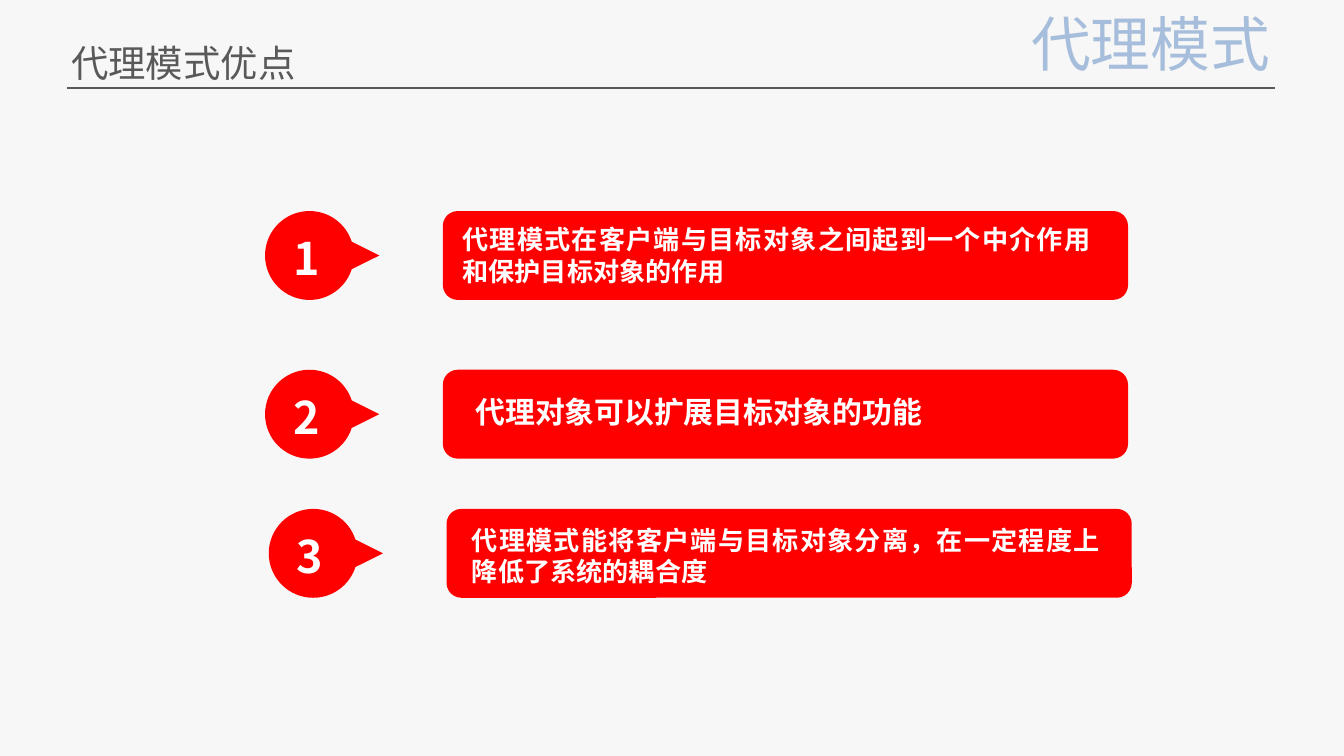
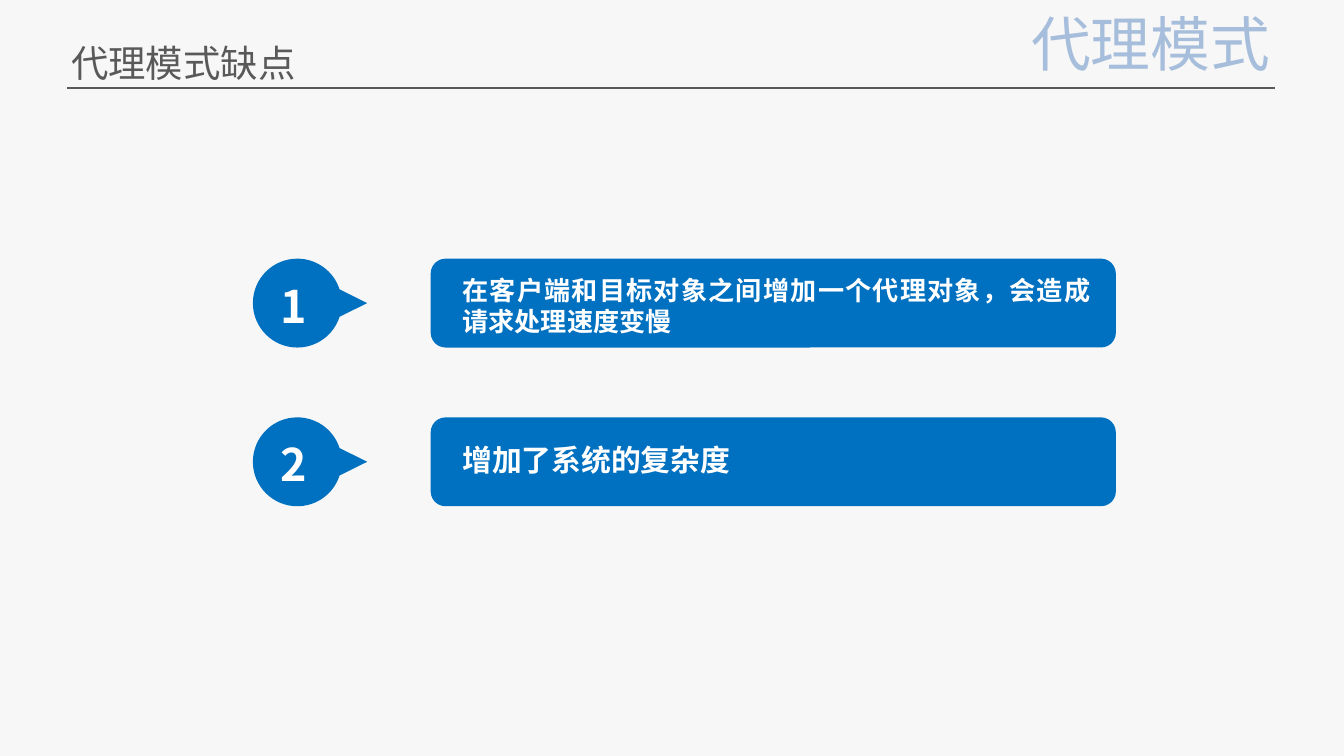
from itertools import pairwise
from math import cos, radians, sin, tan
from typing import NamedTuple

from lxml.etree import Element, SubElement
from pptx import Presentation
from pptx.dml.color import RGBColor
from pptx.enum.shapes import MSO_CONNECTOR, MSO_SHAPE
from pptx.enum.text import MSO_ANCHOR, MSO_AUTO_SIZE, PP_ALIGN
from pptx.oxml.ns import qn
from pptx.presentation import Presentation as Deck
from pptx.shapes.base import BaseShape
from pptx.slide import Slide, SlideLayout
from pptx.text.text import TextFrame
from pptx.util import Cm, Length, Pt

BACKGROUND = RGBColor(0xF7, 0xF7, 0xF7)
GREY = RGBColor(0x59, 0x59, 0x59)
HEADER_BLUE = RGBColor(0x4F, 0x81, 0xBD)
WHITE = RGBColor(0xFF, 0xFF, 0xFF)
RED = RGBColor(0xFF, 0x00, 0x00)
BLUE = RGBColor(0x00, 0x70, 0xC0)

HEADER_FONT = "Arial"
BODY_FONT = "Noto Sans CJK SC"

RADIUS = Cm(0.84)
TIP_REACH = Cm(1.32)
ARC_ANGLES = (18, 90, 180, 270, 342)
PANEL_OFFSET = Cm(3.36)
PANEL_WIDTH = Cm(12.95)
TEXT_WIDTH = Cm(11.87)


class Point(NamedTuple):
    left: Length
    top: Length
    text_left: Length
    text_top: Length
    text: str
    size: int = 14


class Topic(NamedTuple):
    title: str
    colour: RGBColor
    points: tuple[Point, ...]


TOPICS = (
    Topic("代理模式优点", RED, (
        Point(Cm(5.01), Cm(3.99), Cm(8.74), Cm(4.23),
              "代理模式在客户端与目标对象之间起到一个中介作用和保护目标对象的作用"),
        Point(Cm(5.01), Cm(6.99), Cm(8.99), Cm(7.45), "代理对象可以扩展目标对象的功能", 16),
        Point(Cm(5.08), Cm(9.62), Cm(8.92), Cm(9.91),
              "代理模式能将客户端与目标对象分离，在一定程度上降低了系统的耦合度"),
    )),
    Topic("代理模式缺点", BLUE, (
        Point(Cm(4.78), Cm(4.89), Cm(8.74), Cm(5.18),
              "在客户端和目标对象之间增加一个代理对象，会造成请求处理速度变慢"),
        Point(Cm(4.78), Cm(7.89), Cm(8.74), Cm(8.35), "增加了系统的复杂度", 16),
    )),
)


def write(frame: TextFrame, text: str, *, size: int, colour: RGBColor,
          font: str = BODY_FONT, bold: bool = False, align: PP_ALIGN = PP_ALIGN.LEFT,
          inset: bool = True, wrap: bool = True, opacity: int = 100) -> None:
    """Fill a text frame with one formatted paragraph."""
    frame.word_wrap = wrap
    frame.auto_size = MSO_AUTO_SIZE.SHAPE_TO_FIT_TEXT
    frame.vertical_anchor = MSO_ANCHOR.TOP
    if not inset:
        frame.margin_left = frame.margin_right = 0
        frame.margin_top = frame.margin_bottom = 0
    para = frame.paragraphs[0]
    para.alignment = align
    span = para.add_run()
    span.text = text
    span.font.name = font
    span.font.size = Pt(size)
    span.font.bold = bold
    span.font.color.rgb = colour
    properties = span.font.fill._xPr
    SubElement(properties, qn("a:ea")).set("typeface", font)
    if opacity < 100:
        paint = properties.find(f"{qn('a:solidFill')}/{qn('a:srgbClr')}")
        SubElement(paint, qn("a:alpha")).set("val", str(opacity * 1000))


def paint_shape(shape: BaseShape, colour: RGBColor) -> None:
    """Give a shape a flat fill without outline or shadow."""
    shape.shadow.inherit = False
    shape.fill.solid()
    shape.fill.fore_color.rgb = colour
    shape.line.fill.background()


def add_header(page: Slide, layout: SlideLayout) -> None:
    """Draw the shared rule and heading and hand them to the layout."""
    rule = page.shapes.add_connector(
        MSO_CONNECTOR.STRAIGHT, Cm(1.27), Cm(1.66), Cm(24.1), Cm(1.66))
    rule.line.color.rgb = GREY
    rule.line.width = Pt(0.75)
    SubElement(rule.element.spPr, qn("a:effectLst"))
    heading = page.shapes.add_textbox(Cm(19.24), 0, Cm(5.46), Cm(1.62))
    write(heading.text_frame, "代理模式", size=32, colour=HEADER_BLUE,
          font=HEADER_FONT, opacity=48)
    for number, shape in enumerate((rule, heading), start=101):
        shape.element.xpath("./*/p:cNvPr")[0].set("id", str(number))
        layout.shapes.element.append(shape.element)


def circle_point(angle: float, lean: float = 0) -> tuple[int, int]:
    """Return a point on the bubble, moved along its tangent by lean radii."""
    turn = radians(angle)
    return (round(RADIUS * (1 + cos(turn) - lean * sin(turn))),
            round(RADIUS * (1 + sin(turn) + lean * cos(turn))))


def add_bubble(page: Slide, left: Length, top: Length, colour: RGBColor) -> None:
    """Draw a round bubble whose tail points right."""
    corners = [circle_point(angle) for angle in ARC_ANGLES]
    builder = page.shapes.build_freeform(left + RADIUS + TIP_REACH, top + RADIUS)
    builder.add_line_segments([(left + x, top + y) for x, y in corners], close=True)
    bubble = builder.convert_to_shape()
    paint_shape(bubble, colour)
    sides = bubble.element.xpath(".//a:lnTo")[1:]
    for side, (start, end) in zip(sides, pairwise(ARC_ANGLES)):
        lean = 4 / 3 * tan(radians(end - start) / 4)
        curve = Element(qn("a:cubicBezTo"))
        for x, y in (circle_point(start, lean), circle_point(end, -lean), circle_point(end)):
            SubElement(curve, qn("a:pt"), x=str(x), y=str(y))
        side.getparent().replace(side, curve)


def add_point(page: Slide, number: int, point: Point, colour: RGBColor) -> None:
    """Draw a numbered bubble and its text panel."""
    add_bubble(page, point.left, point.top, colour)
    panel = page.shapes.add_shape(
        MSO_SHAPE.ROUNDED_RECTANGLE, point.left + PANEL_OFFSET, point.top,
        PANEL_WIDTH, 2 * RADIUS)
    paint_shape(panel, colour)
    text_height = Cm(1.19) if point.size == 14 else Cm(0.69)
    body = page.shapes.add_textbox(
        point.text_left, point.text_top, TEXT_WIDTH, text_height)
    write(body.text_frame, point.text, size=point.size, colour=WHITE, bold=True,
          align=PP_ALIGN.JUSTIFY, inset=False)
    label = page.shapes.add_textbox(
        point.left - Cm(0.3), point.top + Cm(0.37), Cm(2.16), Cm(1.02))
    write(label.text_frame, str(number), size=24, colour=WHITE, bold=True,
          align=PP_ALIGN.CENTER, inset=False)


def add_topic(deck: Deck, layout: SlideLayout, topic: Topic) -> Slide:
    """Add a page with a title and its numbered points."""
    page = deck.slides.add_slide(layout)
    title = page.shapes.title
    title.left, title.top = Cm(1.09), Cm(0.64)
    title.width, title.height = Cm(4.75), Cm(1.12)
    write(title.text_frame, topic.title, size=20, colour=GREY, wrap=False)
    for number, point in enumerate(topic.points, start=1):
        add_point(page, number, point, topic.colour)
    return page


def main() -> None:
    """Build and save the deck."""
    deck = Presentation()
    deck.slide_width, deck.slide_height = Cm(25.4), Cm(14.29)
    fill = deck.slide_master.background.fill
    fill.solid()
    fill.fore_color.rgb = BACKGROUND
    layout = deck.slide_layouts.get_by_name("Title Only")
    pages = [add_topic(deck, layout, topic) for topic in TOPICS]
    add_header(pages[0], layout)
    deck.save("out.pptx")


if __name__ == "__main__":
    main()
